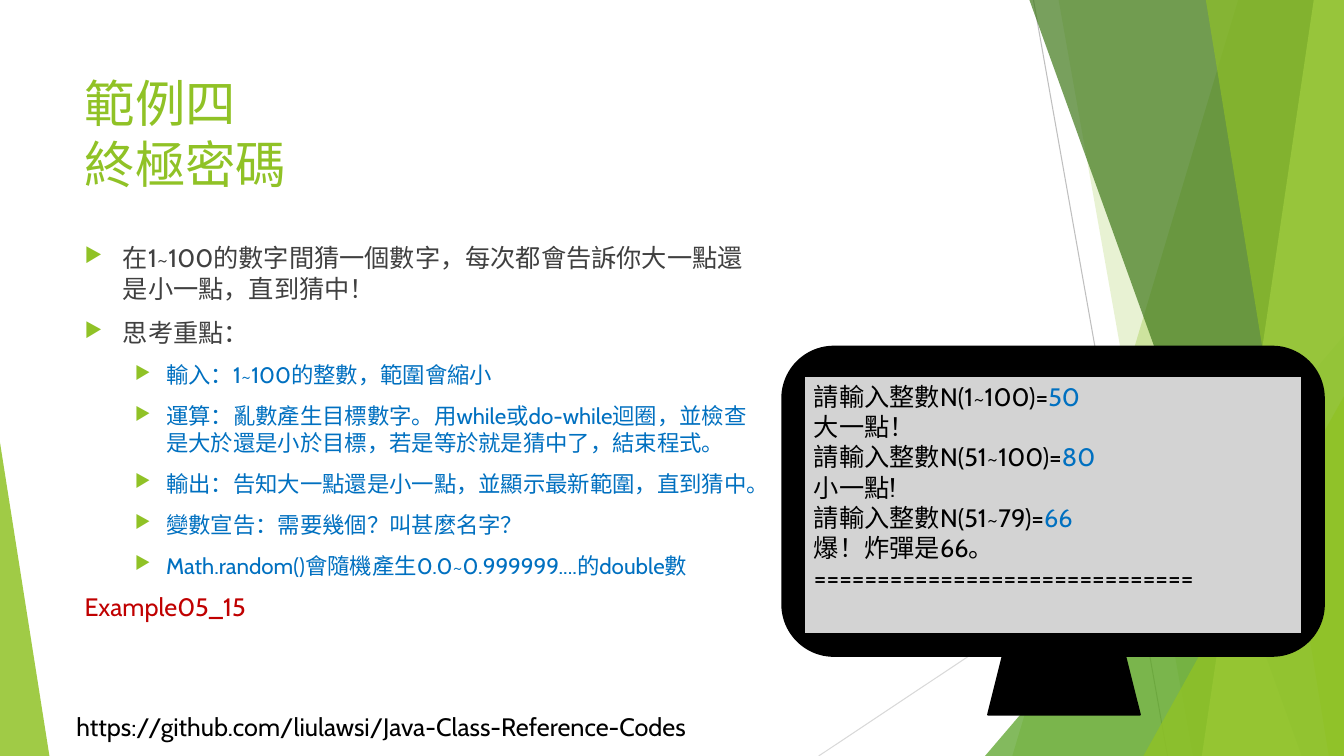
from lxml.etree import SubElement
from pptx import Presentation
from pptx.dml.color import RGBColor as RGB
from pptx.enum.shapes import MSO_CONNECTOR as Link, MSO_SHAPE as Kind
from pptx.enum.text import MSO_ANCHOR as Anchor, PP_ALIGN as Align
from pptx.oxml.ns import qn
from pptx.util import Inches, Pt

HUES = {
    "lime": "90C226", "leaf": "54A021", "moss": "3F7819", "pale": "C0E474",
    "grey": "BFBFBF", "mist": "D9D9D9", "glass": "D3D3D3", "black": "000000",
    "ink": "404040", "blue": "0070C0", "red": "C00000", "white": "FFFFFF",
}
FONT = "Cabin"
COLS, ROWS = 133.3, 75
BANDS = [(122.8, 100.4, "lime", 30), (105, 118.3, "lime", 20)]
FRONT = [(102.1, 129.1, "moss", 70), (130.3, 119.2, "pale", 70),
         (119.6, 131.8, "lime", 65)]
POINTS = [
    (0, "在1~100的數字間猜一個數字，每次都會告訴你大一點還是小一點，直到猜中！"),
    (0, "思考重點："),
    (1, "輸入：1~100的整數，範圍會縮小"),
    (1, "運算：亂數產生目標數字。用while或do-while迴圈，並檢查是大於還是小於目標，若是等於就是猜中了，結束程式。"),
    (1, "輸出：告知大一點還是小一點，並顯示最新範圍，直到猜中。"),
    (1, "變數宣告：需要幾個？叫甚麼名字？"),
    (1, "Math.random()會隨機產生0.0~0.999999....的double數"),
]
LEVELS = [(18, "ink", 0.38, 0.38), (16, "blue", 0.81, 0.31)]
OUTPUT = [
    ("請輸入整數N(1~100)=", "50"), ("大一點！",),
    ("請輸入整數N(51~100)=", "80"), ("小一點!",),
    ("請輸入整數N(51~79)=", "66"), ("爆！炸彈是66。",), ("=" * 30,),
]


def unit(*nums):
    """Turn grid columns or rows into lengths."""
    return [Inches(num / 10) for num in nums]


def hue(name):
    """Look up a colour."""
    return RGB.from_string(HUES[name])


def paint(shape, name, alpha=100, edge=None):
    """Fill a shape, with an edge if one is named."""
    shape.shadow.inherit = False
    shape.fill.solid()
    shape.fill.fore_color.rgb = hue(name)
    if alpha < 100:
        tone = shape.fill._xPr.find(".//" + qn("a:srgbClr"))
        SubElement(tone, qn("a:alpha"), val=str(alpha * 1000))
    if edge:
        shape.line.color.rgb = hue(edge)
        shape.line.width = Pt(1.5)
    else:
        shape.line.fill.background()


def write(para, text, size, name):
    """Add one run."""
    run = para.add_run()
    run.text = text
    run.font.name = FONT
    run.font.size = Pt(size)
    run.font.color.rgb = hue(name)


def ray(slide, ends, name):
    """Draw one thin line."""
    line = slide.shapes.add_connector(Link.STRAIGHT, *unit(*ends))
    line.line.color.rgb = hue(name)
    line.line.width = Pt(0.75)
    SubElement(line._element.spPr, qn("a:effectLst"))


def band(slide, box, top, foot, name, alpha):
    """Draw a slanted band that reaches the right edge of the box."""
    left, head, wide, high = box
    right, base = left + wide, head + high
    pen = slide.shapes.build_freeform(*unit(left + top, head))
    pen.add_line_segments([tuple(unit(*spot)) for spot in
                           [(right, head), (right, base), (left + foot, base)]])
    paint(pen.convert_to_shape(), name, alpha)


def wedge(slide, box, tip, name, alpha):
    """Draw a triangle with its tip at a share of the width."""
    shape = slide.shapes.add_shape(Kind.ISOSCELES_TRIANGLE, *unit(*box))
    shape.adjustments[0] = tip
    paint(shape, name, alpha)


def backdrop(slide, box):
    """Draw the green facets at both sides."""
    left, top, wide, high = box
    right, base = left + wide, top + high
    ray(slide, (left + 102.5, top, left + 115.8, base), "grey")
    ray(slide, (right, top + 40.3, left + 81.2, base), "mist")
    for item in BANDS:
        band(slide, box, *item)
    wedge(slide, (right - 35.6, base - 41.7, 35.6, 41.7), 1, "leaf", 72)
    for item in FRONT:
        band(slide, box, *item)
    wedge(slide, (right - 19.9, base - 35.7, 19.9, 35.7), 1, "lime", 80)
    wedge(slide, (left, base - 31.1, 4.9, 31.1), 0, "lime", 85)


def heading(slide, box):
    """Set the two-line title."""
    title = slide.shapes.title
    title.left, title.top, title.width, title.height = unit(*box)
    title.text_frame.vertical_anchor = Anchor.TOP
    para = title.text_frame.paragraphs[0]
    para.alignment = Align.LEFT
    write(para, "範例四", 36, "lime")
    para.add_line_break()
    write(para, "終極密碼", 36, "lime")


def label(slide, box, text, name):
    """Set a single line of text."""
    frame = slide.shapes.add_textbox(*unit(*box)).text_frame
    frame.word_wrap = False
    write(frame.paragraphs[0], text, 18, name)


def bullet(para, indent, hang):
    """Give a paragraph a green arrow bullet."""
    props = para._p.get_or_add_pPr()
    props.set("marL", str(Inches(indent)))
    props.set("indent", str(-Inches(hang)))
    tone = SubElement(props, qn("a:buClr"))
    SubElement(tone, qn("a:srgbClr"), val=HUES["lime"])
    SubElement(props, qn("a:buSzPct"), val="80000")
    SubElement(props, qn("a:buChar"), char="▶")


def body(slide, box):
    """List the task and its hints."""
    frame = slide.shapes.add_textbox(*unit(*box)).text_frame
    frame.word_wrap = True
    for num, (level, text) in enumerate(POINTS):
        para = frame.add_paragraph() if num else frame.paragraphs[0]
        size, name, indent, hang = LEVELS[level]
        para.level = level
        bullet(para, indent, hang)
        if num:
            para.space_before = Pt(10)
        write(para, text, size, name)


def monitor(slide, box):
    """Draw a monitor that shows the program output."""
    left, top, wide, high = box

    def part(kind, across, down, span, rise, name):
        """Place one part by shares of the box."""
        shape = slide.shapes.add_shape(kind, *unit(
            left + across * wide, top + down * high, span * wide, rise * high))
        paint(shape, name, edge="black")
        return shape

    part(Kind.ROUNDED_RECTANGLE, 0, 0, 1, 0.84, "black")
    screen = part(Kind.RECTANGLE, 0.04, 0.08, 0.92, 0.7, "glass")
    part(Kind.TRAPEZOID, 0.38, 0.84, 0.28, 0.16, "black")
    frame = screen.text_frame
    frame.word_wrap = True
    frame.vertical_anchor = Anchor.TOP
    for num, texts in enumerate(OUTPUT):
        para = frame.add_paragraph() if num else frame.paragraphs[0]
        para.alignment = Align.LEFT
        for text, name in zip(texts, ("black", "blue")):
            write(para, text, 18, name)


def main():
    """Build and save the slide."""
    deck = Presentation()
    deck.slide_width, deck.slide_height = unit(COLS, ROWS)
    slide = deck.slides.add_slide(deck.slide_layouts[5])
    slide.background.fill.solid()
    slide.background.fill.fore_color.rgb = hue("white")
    backdrop(slide, (0, 0, COLS, ROWS))
    label(slide, (6.6, 70.1, 67, 4),
          "https://github.com/liulawsi/Java-Class-Reference-Codes", "black")
    heading(slide, (7.4, 6.7, 94, 14.4))
    body(slide, (7.4, 23.6, 68.3, 42.4))
    monitor(slide, (77.6, 34.4, 53.7, 36.5))
    label(slide, (7.4, 58.2, 18.3, 4), "Example05_15", "red")
    deck.save("out.pptx")


if __name__ == "__main__":
    main()
